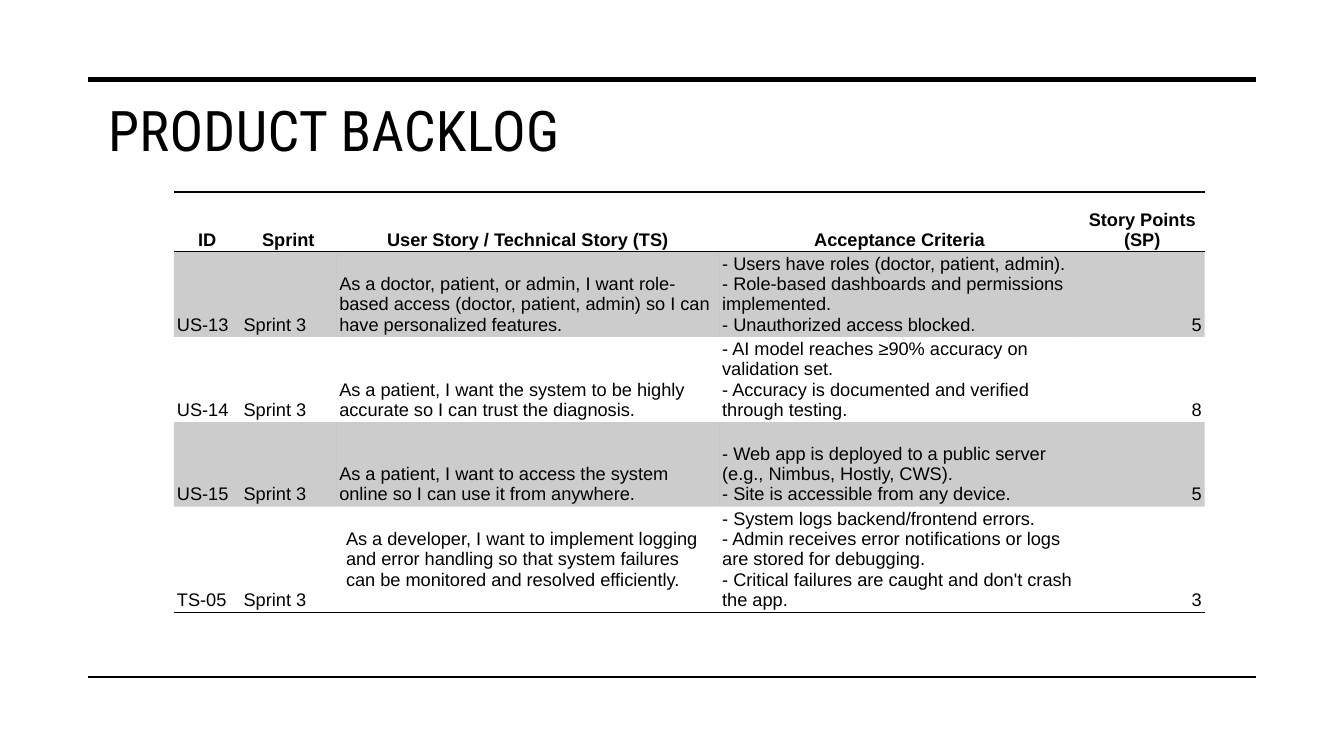
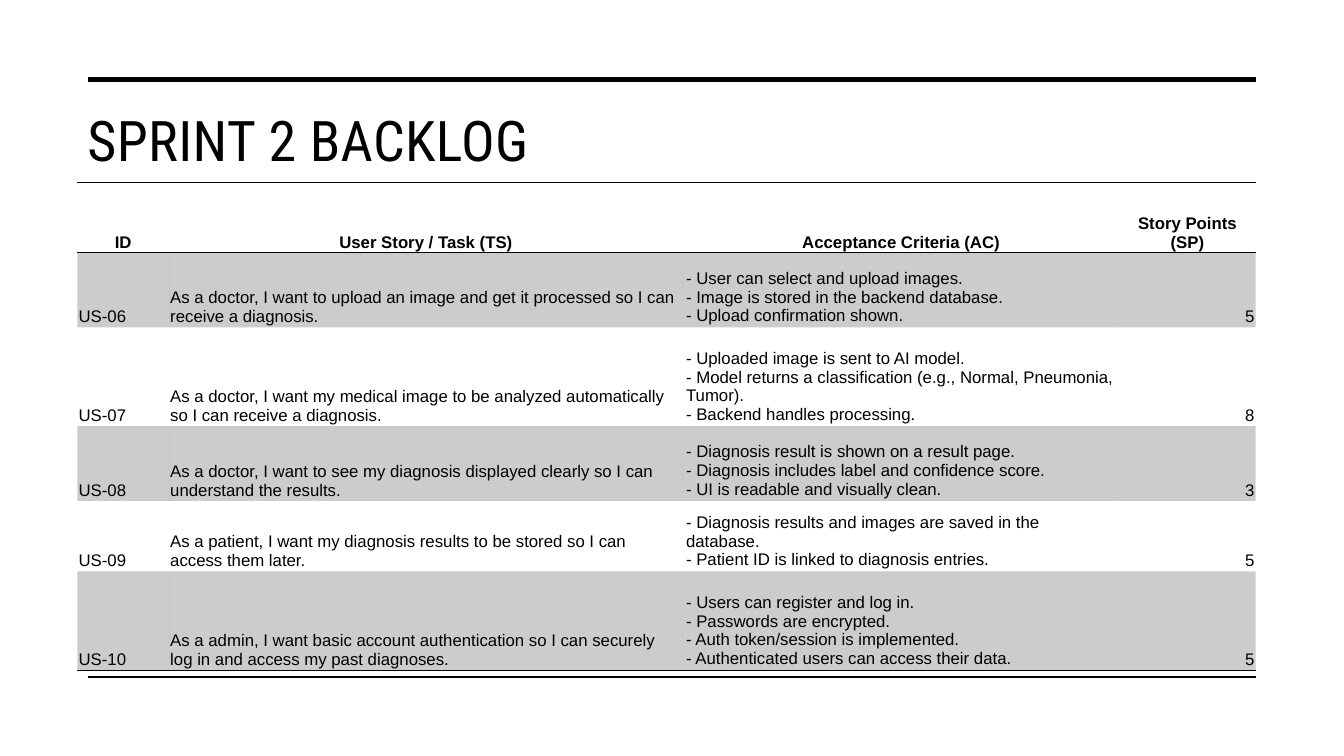
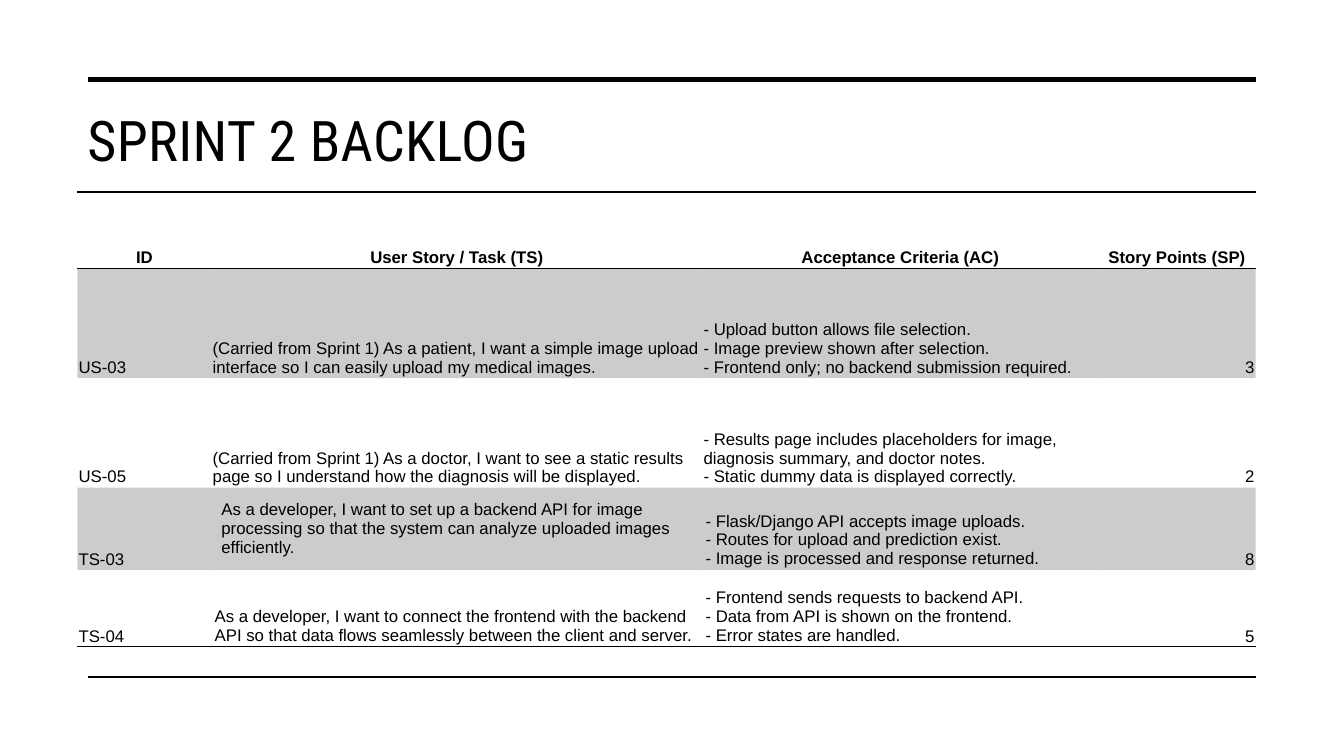
from copy import deepcopy

from lxml.etree import SubElement
from pptx import Presentation
from pptx.dml.color import RGBColor
from pptx.enum.shapes import MSO_CONNECTOR
from pptx.enum.text import MSO_ANCHOR, MSO_AUTO_SIZE, PP_ALIGN
from pptx.oxml.ns import qn
from pptx.util import Cm, Pt

COLORS = {"ink": "000000"}
TITLE_FONT, BODY_FONT = "Roboto Condensed", "Arial"
BAND_OPACITY = 20  # percent
NO_GRID_STYLE = "{2D5ABB26-0587-4C30-8999-92F81FD0307C}"
RULE_LEFT, RULE_RIGHT = 2.23, 31.65
RULES = [(2.01, 3.5), (17.06, 1)]  # height on the slide in cm, weight in pt

# Cell insets in cm: horizontal, vertical
INSETS = {"t": (0.03, 0.03), "s": (0.08, 0.05), "r": (0.25, 0.13), "h": (0, 0.03)}

SPRINT_TITLE_BOX = (1.95, 2.53, 29.69, 3.2)
SPRINT_HEADER = ("ID", "User Story / Task (TS)", "Acceptance Criteria (AC)", "Story Points (SP)")

# One entry per slide; insets hold one letter per cell of each body row
BACKLOGS = [
    dict(
        title="PRODUCT BACKLOG",
        title_box=(2.47, 2.29, 16.56, 2.08),
        origin=(4.38, 4.84),
        size=13,
        widths=(1.68, 2.41, 9.65, 9.09, 3.15),
        heights=(1.5, 2.13, 2.13, 2.13, 2.29),
        insets=["sssss"] * 3 + ["ssrss"],
        header=("ID", "Sprint", "User Story / Technical Story (TS)",
                "Acceptance Criteria", "Story Points (SP)"),
        stories=[
            ("US-13", "Sprint 3",
             "As a doctor, patient, or admin, I want role-based access (doctor, patient, admin) "
             "so I can have personalized features.",
             "- Users have roles (doctor, patient, admin).\n"
             "- Role-based dashboards and permissions implemented.\n"
             "- Unauthorized access blocked.", "5"),
            ("US-14", "Sprint 3",
             "As a patient, I want the system to be highly accurate so I can trust the diagnosis.",
             "- AI model reaches ≥90% accuracy on validation set.\n"
             "- Accuracy is documented and verified through testing.", "8"),
            ("US-15", "Sprint 3",
             "As a patient, I want to access the system online so I can use it from anywhere.",
             "- Web app is deployed to a public server (e.g., Nimbus, Hostly, CWS).\n"
             "- Site is accessible from any device.", "5"),
            ("TS-05", "Sprint 3",
             "As a developer, I want to implement logging and error handling so that system "
             "failures can be monitored and resolved efficiently.",
             "- System logs backend/frontend errors.\n"
             "- Admin receives error notifications or logs are stored for debugging.\n"
             "- Critical failures are caught and don't crash the app.", "3"),
        ],
    ),
    dict(
        title="SPRINT 2 BACKLOG",
        title_box=SPRINT_TITLE_BOX,
        origin=(1.95, 4.59),
        size=12,
        widths=(2.31, 12.95, 11, 3.43),
        heights=(1.78, 1.88, 2.49, 1.88, 1.78, 2.49),
        insets=["ttst"] * 5,
        header=SPRINT_HEADER,
        stories=[
            ("US-06",
             "As a doctor, I want to upload an image and get it processed so I can receive a diagnosis.",
             "- User can select and upload images.\n"
             "- Image is stored in the backend database.\n"
             "- Upload confirmation shown.", "5"),
            ("US-07",
             "As a doctor, I want my medical image to be analyzed automatically "
             "so I can receive a diagnosis.",
             "- Uploaded image is sent to AI model.\n"
             "- Model returns a classification (e.g., Normal, Pneumonia, Tumor).\n"
             "- Backend handles processing.", "8"),
            ("US-08",
             "As a doctor, I want to see my diagnosis displayed clearly so I can understand the results.",
             "- Diagnosis result is shown on a result page.\n"
             "- Diagnosis includes label and confidence score.\n"
             "- UI is readable and visually clean.", "3"),
            ("US-09",
             "As a patient, I want my diagnosis results to be stored so I can access them later.",
             "- Diagnosis results and images are saved in the database.\n"
             "- Patient ID is linked to diagnosis entries.", "5"),
            ("US-10",
             "As a admin, I want basic account authentication so I can securely log in "
             "and access my past diagnoses.",
             "- Users can register and log in.\n"
             "- Passwords are encrypted.\n"
             "- Auth token/session is implemented.\n"
             "- Authenticated users can access their data.", "5"),
        ],
    ),
    dict(
        title="SPRINT 2 BACKLOG",
        title_box=SPRINT_TITLE_BOX,
        origin=(1.95, 4.84),
        size=12,
        widths=(3.38, 12.37, 9.98, 3.96),
        heights=(1.93, 2.76, 2.76, 2.08, 1.93),
        insets=["tttt"] * 2 + ["trst", "tsst"],
        header=SPRINT_HEADER,
        stories=[
            ("US-03",
             "(Carried from Sprint 1) As a patient, I want a simple image upload interface "
             "so I can easily upload my medical images.",
             "- Upload button allows file selection.\n"
             "- Image preview shown after selection.\n"
             "- Frontend only; no backend submission required.", "3"),
            ("US-05",
             "(Carried from Sprint 1) As a doctor, I want to see a static results page "
             "so I understand how the diagnosis will be displayed.",
             "- Results page includes placeholders for image, diagnosis summary, and doctor notes.\n"
             "- Static dummy data is displayed correctly.", "2"),
            ("TS-03",
             "As a developer, I want to set up a backend API for image processing "
             "so that the system can analyze uploaded images efficiently.",
             "- Flask/Django API accepts image uploads.\n"
             "- Routes for upload and prediction exist.\n"
             "- Image is processed and response returned.", "8"),
            ("TS-04",
             "As a developer, I want to connect the frontend with the backend API "
             "so that data flows seamlessly between the client and server.",
             "- Frontend sends requests to backend API.\n"
             "- Data from API is shown on the frontend.\n"
             "- Error states are handled.", "5"),
        ],
    ),
]


def write(frame, text, font=BODY_FONT, size=12, bold=False, color="ink",
          align=PP_ALIGN.LEFT, spacing=0):
    """Fill a text frame with one paragraph; newlines become line breaks."""
    paragraph = frame.paragraphs[0]
    paragraph.text = text
    paragraph.alignment = align
    for run in paragraph.runs:
        run.font.name, run.font.size, run.font.bold = font, Pt(size), bold
        run.font.color.rgb = RGBColor.from_string(COLORS[color])
        if spacing:
            run.font._element.set("spc", str(round(spacing * 100)))
    # Breaks carry the run format, so every line keeps the same height
    for line_break in paragraph._p.findall(qn("a:br")):
        line_break.append(deepcopy(paragraph.runs[0].font._element))


def add_rules(slide, layout):
    """Draw the top and bottom rules and hand them to the shared layout."""
    for y, weight in RULES:
        rule = slide.shapes.add_connector(
            MSO_CONNECTOR.STRAIGHT, Cm(RULE_LEFT), Cm(y), Cm(RULE_RIGHT), Cm(y))
        rule.line.color.rgb = RGBColor.from_string(COLORS["ink"])
        rule.line.width = Pt(weight)
        SubElement(rule.element.spPr, qn("a:effectLst"))
        layout.shapes.element.append(rule.element)


def place_title(slide, text, box):
    title = slide.shapes.title
    title.left, title.top, title.width, title.height = map(Cm, box)
    frame = title.text_frame
    frame.word_wrap = True
    frame.auto_size = MSO_AUTO_SIZE.NONE
    frame.vertical_anchor = MSO_ANCHOR.TOP
    write(frame, text, font=TITLE_FONT, size=40, spacing=0.3)


def set_border(cell, side):
    border = SubElement(cell._tc.get_or_add_tcPr(), qn(f"a:ln{side}"), w=str(Pt(1)))
    fill = SubElement(border, qn("a:solidFill"))
    SubElement(fill, qn("a:srgbClr"), val=COLORS["ink"])


def set_band(cell):
    cell.fill.solid()
    cell.fill.fore_color.rgb = RGBColor.from_string(COLORS["ink"])
    # The fill is a direct child; border fills lie one level deeper
    shade = cell._tc.tcPr.find(qn("a:solidFill")).find(qn("a:srgbClr"))
    SubElement(shade, qn("a:alpha"), val=str(BAND_OPACITY * 1000))


def set_insets(cell, kind):
    across, down = map(Cm, INSETS[kind])
    cell.margin_left = cell.margin_right = across
    cell.margin_top = cell.margin_bottom = down
    cell.vertical_anchor = MSO_ANCHOR.MIDDLE if kind == "r" else MSO_ANCHOR.BOTTOM


def place_backlog(slide, origin, size, widths, heights, insets, header, stories):
    left, top = origin
    rows = [header, *stories]
    kinds = ["t" * (len(header) - 1) + "h", *insets]
    last_row, last_column = len(rows) - 1, len(header) - 1
    backlog = slide.shapes.add_table(
        len(rows), len(header), Cm(left), Cm(top), Cm(sum(widths)), Cm(sum(heights))).table
    backlog.first_row = backlog.horz_banding = False
    backlog._tbl.tblPr.find(qn("a:tableStyleId")).text = NO_GRID_STYLE
    for column, width in zip(backlog.columns, widths):
        column.width = Cm(width)
    for row, height in zip(backlog.rows, heights):
        row.height = Cm(height)

    for r, texts in enumerate(rows):
        for c, text in enumerate(texts):
            cell = backlog.cell(r, c)
            set_insets(cell, kinds[r][c])
            # Rules above and below the header, and under the last row
            if r == 0:
                set_border(cell, "T")
            if r in (0, last_row):
                set_border(cell, "B")
            # Every odd row is shaded
            if r % 2:
                set_band(cell)
            else:
                cell.fill.background()
            if r == 0:
                align = PP_ALIGN.CENTER
            else:
                align = PP_ALIGN.RIGHT if c == last_column else PP_ALIGN.LEFT
            write(cell.text_frame, text, size=size, bold=r == 0, align=align)


def build_slide(deck, layout, title, title_box, **backlog):
    slide = deck.slides.add_slide(layout)
    place_title(slide, title, title_box)
    place_backlog(slide, **backlog)
    return slide


def main():
    deck = Presentation()
    deck.slide_width, deck.slide_height = Cm(33.87), Cm(19.05)
    title_only = deck.slide_layouts[5]
    slides = [build_slide(deck, title_only, **backlog) for backlog in BACKLOGS]
    add_rules(slides[0], title_only)
    deck.save("out.pptx")


if __name__ == "__main__":
    main()
